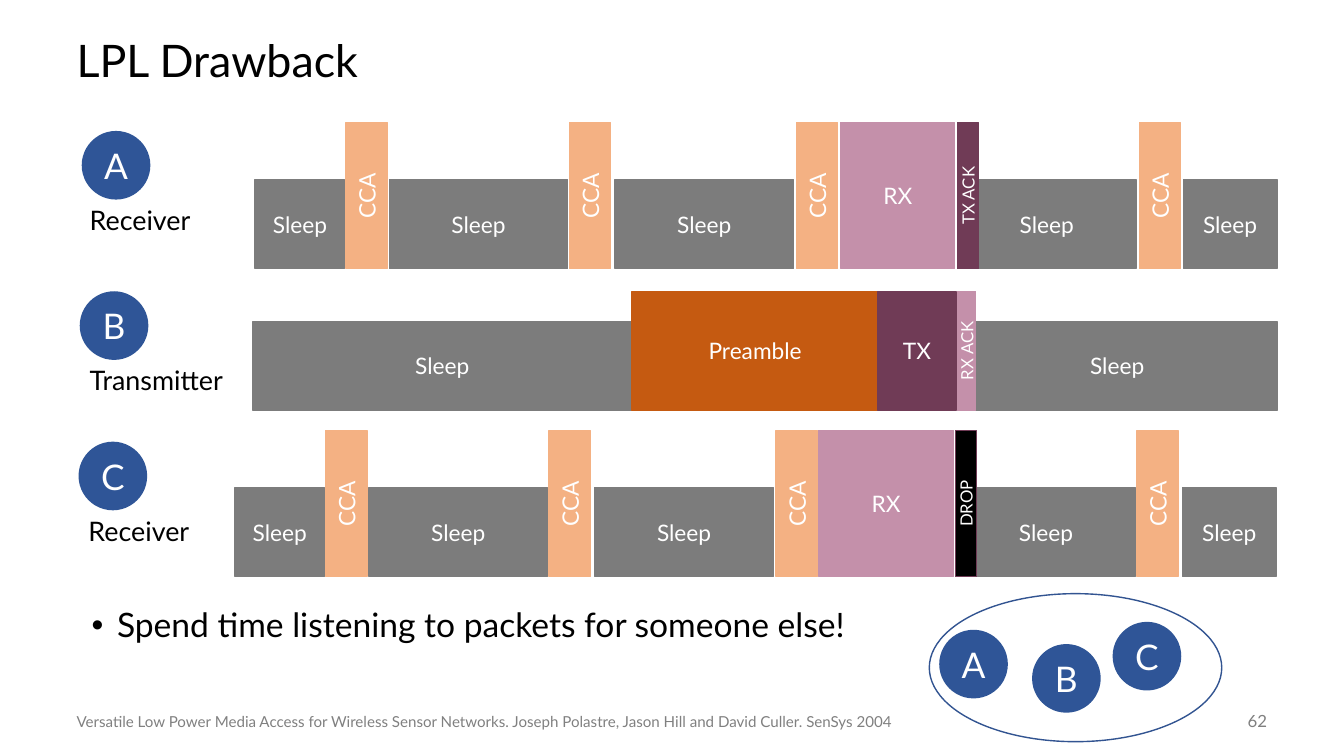
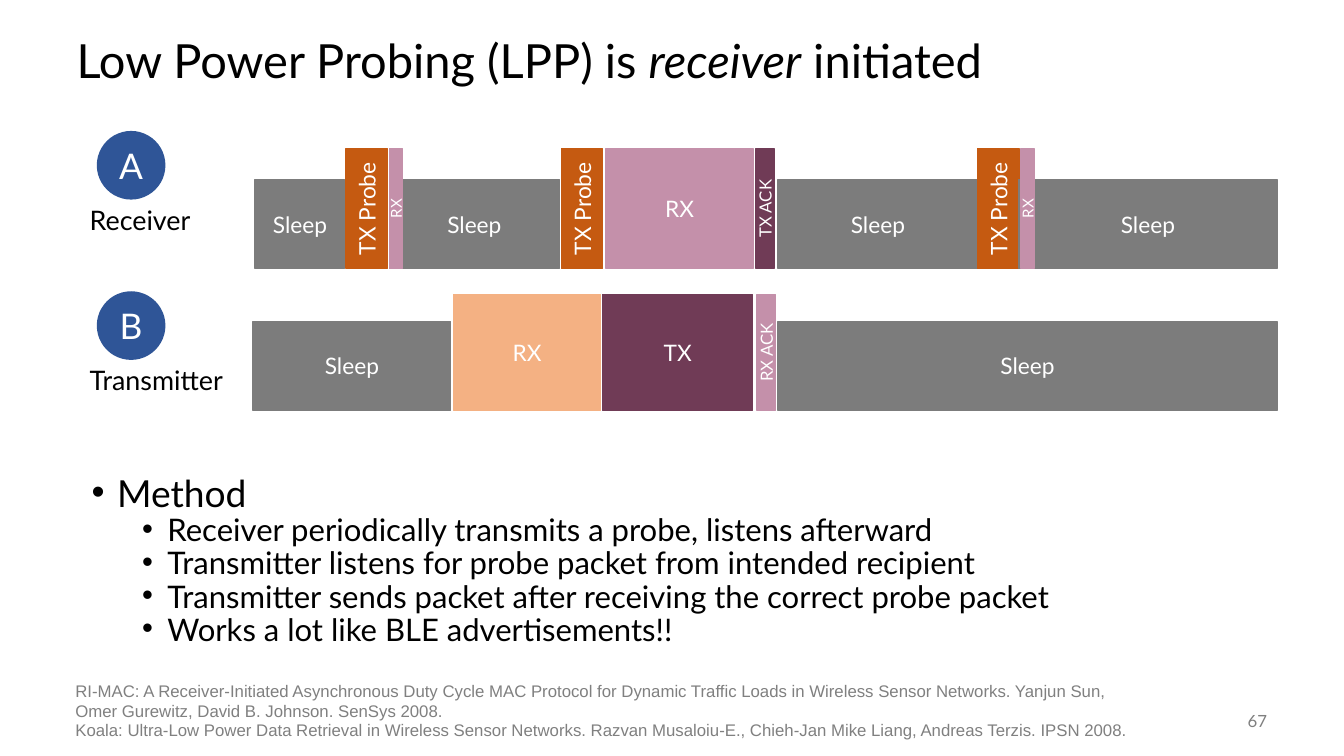
from dataclasses import dataclass
from typing import Optional

from lxml import etree
from pptx import Presentation
from pptx.dml.color import RGBColor
from pptx.enum.shapes import MSO_SHAPE
from pptx.enum.text import MSO_ANCHOR, PP_ALIGN
from pptx.oxml.ns import qn
from pptx.util import Cm, Pt

RECT = MSO_SHAPE.RECTANGLE
OVAL = MSO_SHAPE.OVAL
MIDDLE = MSO_ANCHOR.MIDDLE
TOP = MSO_ANCHOR.TOP
LEFT = PP_ALIGN.LEFT
CENTER = PP_ALIGN.CENTER
RIGHT = PP_ALIGN.RIGHT

BLACK = RGBColor(0x00, 0x00, 0x00)
WHITE = RGBColor(0xFF, 0xFF, 0xFF)
MUTED = RGBColor(0x80, 0x80, 0x80)
GRAY = RGBColor(0x7C, 0x7C, 0x7C)
PEACH = RGBColor(0xF4, 0xB1, 0x83)
ORANGE = RGBColor(0xC5, 0x5A, 0x11)
PINK = RGBColor(0xC4, 0x90, 0xAA)
PLUM = RGBColor(0x70, 0x3B, 0x56)
BLUE = RGBColor(0x2F, 0x55, 0x97)
RANGE_BLUE = RGBColor(0x32, 0x54, 0x91)

FONT = "Lato"
CITATION_FONT = "Arial"
NODE_SIZE = 1.73
SLEEP_HEIGHT = 2.24
CCA_WIDTH = 1.04
ACK_WIDTH = 0.46
PROBE_RX_WIDTH = 0.33

STATE_FILLS = {
    "Sleep": GRAY,
    "CCA": PEACH,
    "Preamble": ORANGE,
    "TX Probe": ORANGE,
    "RX": PINK,
    "RX ACK": PINK,
    "TX": PLUM,
    "TX ACK": PLUM,
    "DROP": BLACK,
}


@dataclass
class State:
    label: str
    start: float
    width: float
    fill: Optional[RGBColor] = None


LISTENING = [
    State("Sleep", 0, 2.26),
    State("CCA", 2.29, CCA_WIDTH),
    State("Sleep", 3.38, 4.5),
    State("CCA", 7.92, CCA_WIDTH),
    State("Sleep", 9.07, 4.5),
    State("CCA", 13.64, CCA_WIDTH),
]


def style_font(font, size, color, name=FONT):
    font.name = name
    font.size = Pt(size)
    font.color.rgb = color


def add_text(slide, box, runs, size, color=BLACK, name=FONT, anchor=MIDDLE, align=LEFT):
    frame = slide.shapes.add_textbox(*map(Cm, box)).text_frame
    frame.word_wrap = True
    frame.vertical_anchor = anchor
    paragraph = frame.paragraphs[0]
    paragraph.alignment = align
    for text, italic in runs:
        run = paragraph.add_run()
        run.text = text
        style_font(run.font, size, color, name)
        run.font.italic = italic
    return paragraph


def add_block(slide, preset, box, fill, line, label, size):
    block = slide.shapes.add_shape(preset, *map(Cm, box))
    block.shadow.inherit = False
    block.fill.solid()
    block.fill.fore_color.rgb = fill
    if line is None:
        block.line.fill.background()
    else:
        block.line.color.rgb = line
        block.line.width = Pt(1)
    frame = block.text_frame
    frame.margin_left = frame.margin_right = frame.margin_top = frame.margin_bottom = 0
    frame.word_wrap = False
    frame.vertical_anchor = MIDDLE
    frame.text = label
    frame.paragraphs[0].alignment = CENTER
    style_font(frame.paragraphs[0].runs[0].font, size, WHITE)
    return block


def add_node(slide, left, top, letter):
    add_block(slide, OVAL, (left, top, NODE_SIZE, NODE_SIZE), BLUE, None, letter, 25.2)


def add_role(slide, left, top, letter, role, node_shift=0.0):
    add_node(slide, left + node_shift, top, letter)
    add_text(slide, (left, top + 1.7, 4.39, 1.07), [(role, False)], 19.2)


def add_timeline(slide, left, baseline, active_height, states):
    for state in states:
        height = SLEEP_HEIGHT if state.label == "Sleep" else active_height
        fill = state.fill or STATE_FILLS[state.label]
        line = PLUM if state.label == "DROP" else fill
        size = 10.8 if state.width < 0.4 else 12 if state.width < 0.6 else 16.2
        box = (left + state.start, baseline - height, state.width, height)
        block = add_block(slide, RECT, box, fill, line, state.label, size)
        if state.width < 1.5:
            block.text_frame._txBody.bodyPr.set("vert", "vert270")


def add_radio_range(slide, left, top, width, height):
    radio_range = slide.shapes.add_shape(OVAL, Cm(left), Cm(top), Cm(width), Cm(height))
    radio_range.shadow.inherit = False
    radio_range.fill.background()
    radio_range.line.color.rgb = RANGE_BLUE
    radio_range.line.width = Pt(1)
    for letter, dx, dy in (("A", 0.25, 0.91), ("B", 2.59, 1.27), ("C", 4.62, 0.71)):
        add_node(slide, left + dx, top + dy, letter)


def add_bullets(slide, box, items, sizes, line_spacing):
    frame = slide.shapes.add_textbox(*map(Cm, box)).text_frame
    frame.word_wrap = True
    for index, (level, text) in enumerate(items):
        paragraph = frame.add_paragraph() if index else frame.paragraphs[0]
        paragraph.text = text
        paragraph.level = level
        paragraph.line_spacing = line_spacing
        if index:
            paragraph.space_before = Pt(5)
        properties = paragraph._p.get_or_add_pPr()
        properties.set("marL", str(Cm(0.64 + 1.27 * level)))
        properties.set("indent", str(-Cm(0.64)))
        etree.SubElement(properties, qn("a:buFont")).set("typeface", "Arial")
        etree.SubElement(properties, qn("a:buChar")).set("char", "•")
        style_font(paragraph.runs[0].font, sizes[level], BLACK)


def add_citation(slide, box, text, size, name):
    add_text(slide, box, [(text, False)], size, MUTED, name, TOP)


def add_base_slide(deck, title_runs, title_size, number):
    slide = deck.slides.add_slide(deck.slide_layouts[6])
    title = add_text(slide, (1.68, 0.64, 30.48, 1.9), title_runs, title_size)
    title.line_spacing = 0.9
    add_text(slide, (29.64, 17.65, 2.54, 1.02), [(number, False)], 12, MUTED, align=RIGHT)
    return slide


def build_lpl_slide(deck):
    slide = add_base_slide(deck, [("LPL Drawback", False)], 32, "62")
    add_role(slide, 2.01, 3.3, "A", "Receiver", 0.05)
    add_timeline(slide, 6.43, 6.77, 3.68, LISTENING + [
        State("RX", 14.76, 2.87),
        State("Sleep", 17.7, 4.5),
        State("TX ACK", 17.7, 0.53),
        State("CCA", 22.28, CCA_WIDTH),
        State("Sleep", 23.39, 2.36),
    ])
    add_role(slide, 2.01, 7.34, "B", "Transmitter")
    add_timeline(slide, 6.38, 10.34, 3, [
        State("Sleep", 0, 9.53),
        State("Preamble", 9.55, 6.2),
        State("TX", 15.75, 1.96),
        State("Sleep", 17.75, 8.05),
        State("RX ACK", 17.75, ACK_WIDTH),
    ])
    add_role(slide, 1.98, 11.13, "C", "Receiver")
    add_timeline(slide, 5.92, 14.53, 3.68, LISTENING + [
        State("RX", 14.71, 3.4),
        State("Sleep", 18.19, 4.5),
        State("DROP", 18.16, 0.53),
        State("CCA", 22.73, CCA_WIDTH),
        State("Sleep", 23.88, 2.36),
    ])
    add_bullets(slide, (2.06, 15.21, 20.37, 3.56),
                [(0, "Spend time listening to packets for someone else!")], (24,), 0.9)
    add_radio_range(slide, 23.42, 14.96, 7.37, 3.73)
    add_citation(slide, (1.68, 17.83, 22.83, 0.71),
                 "Versatile Low Power Media Access for Wireless Sensor Networks. "
                 "Joseph Polastre, Jason Hill and David Culler. SenSys 2004", 10.8, FONT)


def build_lpp_slide(deck):
    title_runs = [("Low Power Probing (LPP) is ", False), ("receiver", True), (" initiated", False)]
    slide = add_base_slide(deck, title_runs, 33.6, "67")
    add_role(slide, 2.01, 3.3, "A", "Receiver", 0.43)
    add_timeline(slide, 6.43, 6.77, 3.02, [
        State("Sleep", 0, 2.26),
        State("TX Probe", 2.29, CCA_WIDTH),
        State("Sleep", 3.38, 4.29),
        State("RX", 3.38, PROBE_RX_WIDTH),
        State("TX Probe", 7.72, CCA_WIDTH),
        State("RX", 8.84, 3.71),
        State("TX ACK", 12.62, ACK_WIDTH),
        State("Sleep", 13.18, 5.03),
        State("TX Probe", 18.21, CCA_WIDTH),
        State("Sleep", 19.25, 6.5),
        State("RX", 19.3, PROBE_RX_WIDTH),
    ])
    add_role(slide, 2.01, 7.34, "B", "Transmitter", 0.43)
    add_timeline(slide, 6.38, 10.34, 2.92, [
        State("Sleep", 0, 4.98),
        State("RX", 5.05, 3.71, PEACH),
        State("TX", 8.81, 3.78),
        State("RX ACK", 12.7, ACK_WIDTH),
        State("Sleep", 13.23, 12.57),
    ])
    add_bullets(slide, (2.06, 12.04, 29.77, 4.83), [
        (0, "Method"),
        (1, "Receiver periodically transmits a probe, listens afterward"),
        (1, "Transmitter listens for probe packet from intended recipient"),
        (1, "Transmitter sends packet after receiving the correct probe packet"),
        (1, "Works a lot like BLE advertisements!!"),
    ], (26.6, 22.2), 0.7)
    add_citation(slide, (1.65, 17.02, 27.03, 1.27),
                 "RI-MAC: A Receiver-Initiated Asynchronous Duty Cycle MAC Protocol for "
                 "Dynamic Traffic Loads in Wireless Sensor Networks. Yanjun Sun, "
                 "Omer Gurewitz, David B. Johnson. SenSys 2008.", 12, CITATION_FONT)
    add_citation(slide, (1.65, 18.01, 27.41, 0.76),
                 "Koala: Ultra-Low Power Data Retrieval in Wireless Sensor Networks. "
                 "Razvan Musaloiu-E., Chieh-Jan Mike Liang, Andreas Terzis. IPSN 2008.",
                 12, CITATION_FONT)


def main():
    deck = Presentation()
    deck.slide_width = Cm(33.87)
    deck.slide_height = Cm(19.05)
    build_lpl_slide(deck)
    build_lpp_slide(deck)
    deck.save("out.pptx")


if __name__ == "__main__":
    main()
